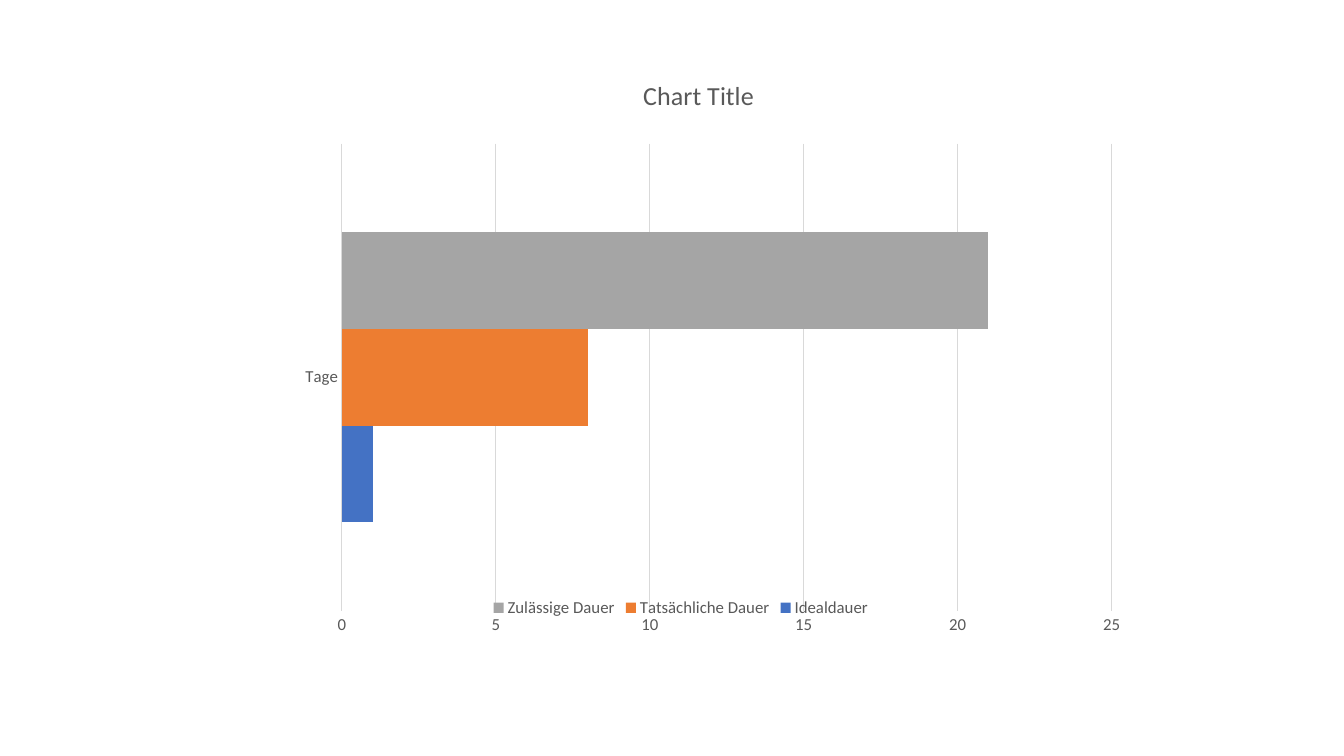
from dataclasses import dataclass

from pptx import Presentation
from pptx import util as u
from pptx.chart.data import CategoryChartData
from pptx.dml.color import RGBColor
from pptx.enum import chart as ch
from pptx.oxml import parse_xml
from pptx.oxml.ns import nsdecls, qn


@dataclass(frozen=True)
class Theme:
    font: str = "Calibri"
    ink: str = "595959"
    rule: str = "D9D9D9"
    title_size: float = 18.6
    label_size: float = 12
    rule_width: float = 0.75


class Slide:
    PX = 914400 / 100.8

    def __init__(self, deck, theme):
        self.theme = theme
        self.page = deck.slides.add_slide(deck.slide_layouts[6])

    @classmethod
    def px(cls, length):
        return u.Emu(round(length * cls.PX))

    def style_font(self, font, size):
        font.name = self.theme.font
        font.size = u.Pt(size)
        font.bold = False
        font.color.rgb = RGBColor.from_string(self.theme.ink)

    def style_rule(self, line):
        line.color.rgb = RGBColor.from_string(self.theme.rule)
        line.width = u.Pt(self.theme.rule_width)

    def place(self, chart, part, after=None, inner=False, **fractions):
        """Fix a chart part at fractions of the chart's size."""
        target = chart.element.find(".//" + qn(part))
        for old in target.findall(qn("c:layout")):
            target.remove(old)
        modes = '<c:layoutTarget val="inner"/>' if inner else ""
        modes += '<c:xMode val="edge"/><c:yMode val="edge"/>'
        values = "".join(f'<c:{key} val="{value}"/>' for key, value in fractions.items())
        layout = parse_xml(
            f'<c:layout {nsdecls("c")}><c:manualLayout>{modes}{values}'
            "</c:manualLayout></c:layout>"
        )
        position = target.index(target.find(qn(after))) + 1 if after else 0
        target.insert(position, layout)

    def bar_chart(self, left, top, width, height, title, category, bars):
        data = CategoryChartData()
        data.categories = [category]
        for name, days, _ in bars:
            data.add_series(name, [days])
        frame = self.page.shapes.add_chart(
            ch.XL_CHART_TYPE.BAR_CLUSTERED,
            *map(self.px, (left, top, width, height)), data)
        chart = frame.chart
        self.style_font(chart.font, self.theme.label_size)

        # Bars
        plot = chart.plots[0]
        plot.gap_width = 182
        plot.vary_by_categories = False
        for series, (_, _, color) in zip(plot.series, bars):
            series.format.fill.solid()
            series.format.fill.fore_color.rgb = RGBColor.from_string(color)
        self.place(chart, "c:plotArea", inner=True, x=0.106, y=0.161, w=0.859, h=0.771)

        # Axes
        for axis in (chart.category_axis, chart.value_axis):
            axis.major_tick_mark = axis.minor_tick_mark = ch.XL_TICK_MARK.NONE
            self.style_font(axis.tick_labels.font, self.theme.label_size)
        self.style_rule(chart.category_axis.format.line)
        scale = chart.value_axis
        scale.minimum_scale, scale.maximum_scale, scale.major_unit = 0, 25, 5
        scale.format.line.fill.background()
        scale.has_major_gridlines = True
        self.style_rule(scale.major_gridlines.format.line)

        # Title
        chart.has_title = True
        heading = chart.chart_title.text_frame
        heading.text = title
        self.style_font(heading.paragraphs[0].runs[0].font, self.theme.title_size)
        self.place(chart, "c:title", after="c:tx", x=0.437, y=0.043)

        # Legend
        chart.has_legend = True
        chart.legend.position = ch.XL_LEGEND_POSITION.BOTTOM
        chart.legend.include_in_layout = False
        self.style_font(chart.legend.font, self.theme.label_size)
        self.place(chart, "c:legend", after="c:legendPos", x=0.269, y=0.904)


def main():
    deck = Presentation()
    deck.slide_width, deck.slide_height = Slide.px(1344), Slide.px(756)
    slide = Slide(deck, Theme())
    slide.bar_chart(
        247, 46, 896, 606, "Chart Title", "Tage",
        [("Idealdauer", 1, "4472C4"),
         ("Tatsächliche Dauer", 8, "ED7D31"),
         ("Zulässige Dauer", 21, "A5A5A5")])
    deck.save("out.pptx")


if __name__ == "__main__":
    main()
